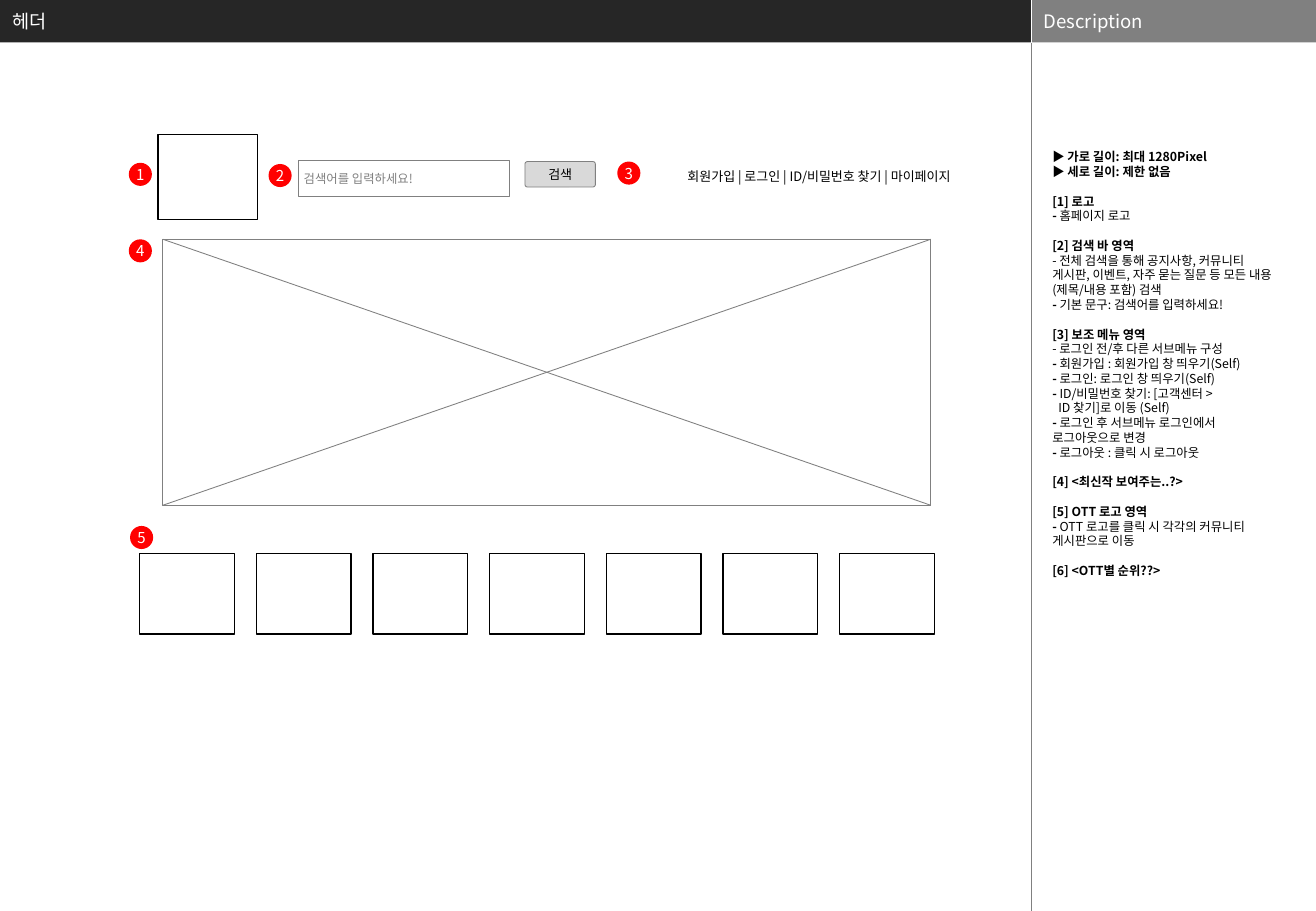
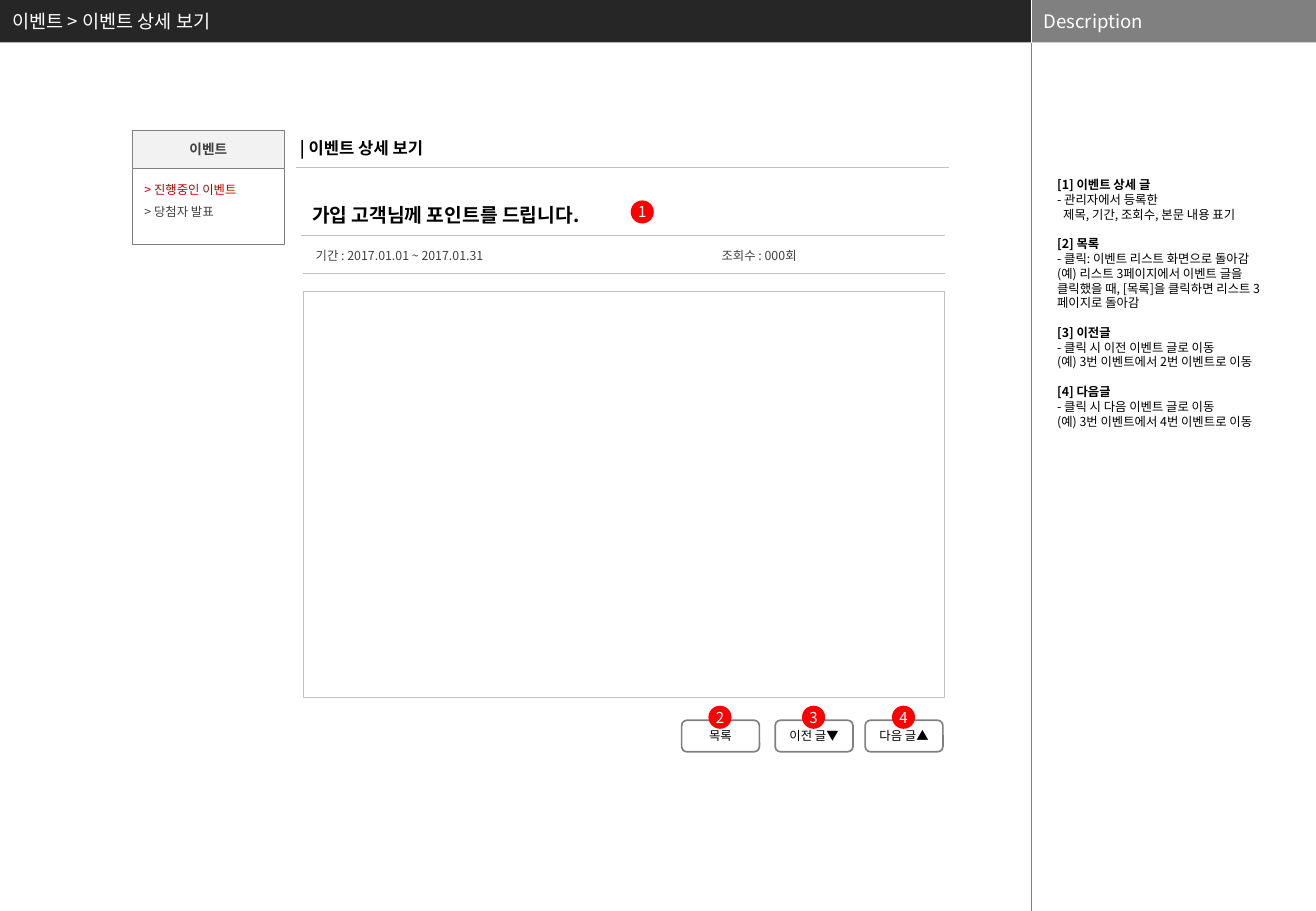
from lxml.etree import SubElement
from pptx import Presentation
from pptx.dml.color import RGBColor
from pptx.enum.shapes import MSO_CONNECTOR as Conn, MSO_SHAPE as Geo
from pptx.enum.text import MSO_ANCHOR as Anchor, MSO_AUTO_SIZE as Auto, PP_ALIGN as Align
from pptx.oxml.ns import qn
from pptx.util import Inches, Pt

FONT = "Noto Sans CJK KR"
WIDE, HIGH, SPLIT, BAR = 10.83, 7.5, 8.49, 0.35
HUES = {
    "white": "FFFFFF", "black": "000000", "band": "262626", "grey": "808080",
    "rule": "BFBFBF", "key": "D9D9D9", "pale": "F2F2F2", "ink": "404040",
    "badge": "FF0000", "hot": "C00000",
}
PAD = (0.1, 0.05, 0.1, 0.05)
NONE = (0, 0, 0, 0)
SMALL = 7.3

# Kinds: top = bold, head = bold after a gap, dash = bold dash, sub = indented
HEADER_NOTES = [
    ("top", "▶ 가로 길이: 최대 1280Pixel"),
    ("top", "▶ 세로 길이: 제한 없음"),
    ("head", "[1] 로고"),
    ("dash", "홈페이지 로고"),
    ("head", "[2] 검색 바 영역"),
    ("line", "- 전체 검색을 통해 공지사항, 커뮤니티 게시판, 이벤트, 자주 묻는 질문 등 "
             "모든 내용(제목/내용 포함) 검색"),
    ("dash", "기본 문구: 검색어를 입력하세요!"),
    ("head", "[3] 보조 메뉴 영역"),
    ("line", "- 로그인 전/후 다른 서브메뉴 구성"),
    ("dash", "회원가입 : 회원가입 창 띄우기(Self)"),
    ("dash", "로그인: 로그인 창 띄우기(Self)"),
    ("dash", "ID/비밀번호 찾기: [고객센터 >"),
    ("sub", "ID 찾기]로 이동 (Self)"),
    ("dash", "로그인 후 서브메뉴 로그인에서 로그아웃으로 변경"),
    ("dash", "로그아웃 : 클릭 시 로그아웃"),
    ("head", "[4] <최신작 보여주는..?>"),
    ("head", "[5] OTT 로고 영역"),
    ("dash", "OTT 로고를 클릭 시 각각의 커뮤니티 게시판으로 이동"),
    ("head", "[6] <OTT별 순위??>"),
]
EVENT_NOTES = [
    ("top", "[1] 이벤트 상세 글"),
    ("line", "- 관리자에서 등록한"),
    ("sub", "제목, 기간, 조회수, 본문 내용 표기"),
    ("head", "[2] 목록"),
    ("line", "- 클릭: 이벤트 리스트 화면으로 돌아감"),
    ("line", "(예) 리스트 3페이지에서 이벤트 글을 클릭했을 때, [목록]을 클릭하면 "
             "리스트 3페이지로 돌아감"),
    ("head", "[3] 이전글"),
    ("line", "- 클릭 시 이전 이벤트 글로 이동"),
    ("line", "(예) 3번 이벤트에서 2번 이벤트로 이동"),
    ("head", "[4] 다음글"),
    ("line", "- 클릭 시 다음 이벤트 글로 이동"),
    ("line", "(예) 3번 이벤트에서 4번 이벤트로 이동"),
]


def rgb(hue):
    return RGBColor.from_string(HUES[hue])


def dims(*box):
    return [Inches(n) for n in box]


def setup(shape, pad=PAD, anchor=Anchor.MIDDLE, wrap=True):
    """Set the text frame's insets, anchor and wrapping, and return it."""
    frame = shape.text_frame
    frame.auto_size = Auto.NONE
    frame.word_wrap = wrap
    frame.vertical_anchor = anchor
    (frame.margin_left, frame.margin_top,
     frame.margin_right, frame.margin_bottom) = dims(*pad)
    return frame


def add_run(para, text, size, hue="black", bold=False):
    run = para.add_run()
    run.text = text
    font = run.font
    font.size, font.name, font.bold = Pt(size), FONT, bold
    font.color.rgb = rgb(hue)
    SubElement(font._element, qn("a:ea")).set("typeface", FONT)


def add_para(frame, size, align=Align.LEFT, lead=1, gap=0):
    """Use the empty first paragraph, or add one; lead counts lines."""
    last = frame.paragraphs[-1]
    para = frame.add_paragraph() if last.runs else last
    para.alignment = align
    para.line_spacing = Pt(round(size * 1.2 * lead, 2))
    para.space_before = Pt(gap)
    return para


def write(frame, text, size, hue="black", bold=False, align=Align.LEFT, lead=1):
    add_run(add_para(frame, size, align, lead), text, size, hue, bold)


def paint(shape, fill=None, edge=None, width=0.5):
    if fill:
        shape.fill.solid()
        shape.fill.fore_color.rgb = rgb(fill)
    else:
        shape.fill.background()
    if edge:
        shape.line.color.rgb = rgb(edge)
        shape.line.width = Pt(width)
    else:
        shape.line.fill.background()


def add_box(slide, box, fill=None, edge=None, width=0.5, geo=Geo.RECTANGLE, bend=None):
    shape = slide.shapes.add_shape(geo, *dims(*box))
    shape.shadow.inherit = False
    paint(shape, fill, edge, width)
    if bend is not None:
        shape.adjustments[0] = bend
    return shape


def add_text(slide, box, text, size, hue="black", wrap=True, **style):
    shape = slide.shapes.add_textbox(*dims(*box))
    write(setup(shape, anchor=Anchor.TOP, wrap=wrap), text, size, hue, **style)


def add_line(slide, ends, hue, width=0.5):
    line = slide.shapes.add_connector(Conn.STRAIGHT, *dims(*ends))
    line.line.color.rgb = rgb(hue)
    line.line.width = Pt(width)
    SubElement(line._element.spPr, qn("a:effectLst"))


def add_badge(slide, num, left, top):
    dot = add_box(slide, (left, top, 0.19, 0.19), "badge", geo=Geo.OVAL)
    write(setup(dot, NONE, wrap=False), str(num), 8.9, "white", align=Align.CENTER)


def add_notes(slide, left, top, notes):
    box = slide.shapes.add_textbox(*dims(left, top, 1.9, 5.69))
    frame = setup(box, (0.03, 0, 0.03, 0), Anchor.TOP)
    for kind, text in notes:
        para = add_para(frame, SMALL, gap=8.76 if kind == "head" else 0)
        if kind == "dash":
            add_run(para, "- ", SMALL, bold=True)
        if kind == "sub":
            para._p.get_or_add_pPr().set("marL", str(Inches(0.05)))
        add_run(para, text, SMALL, bold=kind in ("top", "head"))


def add_page(deck, name):
    """Add a slide with its title band, description band and divider."""
    slide = deck.slides.add_slide(deck.slide_layouts[5])
    title = slide.shapes.title
    title.left, title.top, title.width, title.height = dims(0, 0, SPLIT, BAR)
    paint(title, "band")
    write(setup(title), name, 11, "white")
    head = add_box(slide, (SPLIT, 0, WIDE - SPLIT, BAR), "grey")
    write(setup(head), "Description", 11, "white")
    add_line(slide, (SPLIT, 0, SPLIT, BAR), "white", 0.25)
    add_line(slide, (SPLIT, BAR, SPLIT, HIGH), "grey", 0.25)
    return slide


def add_search(slide, left, top):
    field = add_box(slide, (left, top, 1.73, 0.3), edge="grey")
    write(setup(field, (0.04,) * 4), "검색어를 입력하세요!", SMALL, "grey")
    key = add_box(slide, (left + 1.86, top + 0.01, 0.58, 0.21), "key", "grey",
                  geo=Geo.ROUNDED_RECTANGLE, bend=0.1)
    write(setup(key, (0.04,) * 4), "검색", 7.7, align=Align.CENTER)


def add_banner(slide, left, top, width, height):
    add_box(slide, (left, top, width, height), "white", "grey")
    right, low = left + width, top + height
    add_line(slide, (left, low, right, top), "grey")
    add_line(slide, (left, top, right, low), "grey")


def add_logos(slide, left, top, count=7, step=0.96):
    for i in range(count):
        add_box(slide, (left + i * step, top, 0.78, 0.66), "white", "black", 0.75)


def add_menu(slide, left, top):
    geo = Geo.ROUNDED_RECTANGLE
    body = add_box(slide, (left, top + 0.32, 1.25, 0.62), edge="grey", geo=geo, bend=0)
    frame = setup(body, anchor=Anchor.TOP)
    write(frame, "> 진행중인 이벤트", SMALL, "hot", lead=1.5)
    write(frame, "> 당첨자 발표", SMALL, "ink", lead=1.5)
    head = add_box(slide, (left, top, 1.25, 0.32), "pale", "grey", geo=geo, bend=0)
    write(setup(head), "이벤트", 8.1, "ink", True, Align.CENTER)


def add_panel(slide, *box):
    """Add the one-cell table that holds the post."""
    shape = slide.shapes.add_table(1, 1, *dims(*box))
    cell = shape.table.cell(0, 0)
    props = cell._tc.get_or_add_tcPr()
    for side in ("lnL", "lnR", "lnT", "lnB"):
        edge = SubElement(props, qn(f"a:{side}"), w=str(Pt(0.5)))
        fill = SubElement(edge, qn("a:solidFill"))
        SubElement(fill, qn("a:srgbClr"), val=HUES["rule"])
    cell.fill.solid()
    cell.fill.fore_color.rgb = rgb("white")


def add_post(slide, left, top):
    add_text(slide, (left - 0.13, top, 1.6, 0.27), "| 이벤트 상세 보기", 9.8, bold=True)
    add_text(slide, (left - 0.03, top + 0.53, 2.65, 0.29),
             "가입 고객님께 포인트를 드립니다.", 11.4, wrap=False, bold=True)
    add_text(slide, (left, top + 0.9, 2.5, 0.25),
             "기간 : 2017.01.01 ~ 2017.01.31", SMALL, "ink")
    add_text(slide, (left + 3.34, top + 0.9, 1.5, 0.25), "조회수 : 000회", SMALL, "ink")
    for start, end, drop in ((-0.06, 5.31, 0.29), (-0.02, 5.28, 0.85), (-0.01, 5.28, 1.16)):
        add_line(slide, (left + start, top + drop, left + end, top + drop), "rule")
    add_panel(slide, left, top + 1.31, 5.27, 3.34)


def add_keys(slide, top):
    for num, left, name in ((2, 5.61, "목록"), (3, 6.38, "이전 글▼"), (4, 7.12, "다음 글▲")):
        key = add_box(slide, (left, top, 0.64, 0.26), "white", "grey", 1,
                      Geo.ROUNDED_RECTANGLE)
        write(setup(key, NONE), name, SMALL, align=Align.CENTER)
        add_badge(slide, num, left + 0.22, top - 0.12)


def add_header(deck):
    slide = add_page(deck, "헤더")
    add_notes(slide, 8.63, 1.23, HEADER_NOTES)
    add_box(slide, (1.3, 1.11, 0.82, 0.7), "white", "black", 0.75)
    add_search(slide, 2.46, 1.32)
    add_text(slide, (5.2, 1.27, 2.72, 0.27),
             "회원가입 | 로그인 | ID/비밀번호 찾기 | 마이페이지", 7.7,
             align=Align.RIGHT, lead=1.5)
    add_banner(slide, 1.34, 1.97, 6.32, 2.19)
    add_logos(slide, 1.15, 4.56)
    spots = ((1.06, 1.34), (2.21, 1.35), (5.08, 1.33), (1.06, 1.97), (1.07, 4.33))
    for num, spot in enumerate(spots, 1):
        add_badge(slide, num, *spot)


def add_event(deck):
    slide = add_page(deck, "이벤트 > 이벤트 상세 보기")
    add_notes(slide, 8.67, 1.46, EVENT_NOTES)
    add_menu(slide, 1.09, 1.07)
    add_post(slide, 2.5, 1.09)
    add_badge(slide, 1, 5.19, 1.65)
    add_keys(slide, 5.93)


def main():
    deck = Presentation()
    deck.slide_width, deck.slide_height = dims(WIDE, HIGH)
    add_header(deck)
    add_event(deck)
    deck.save("out.pptx")


if __name__ == "__main__":
    main()
